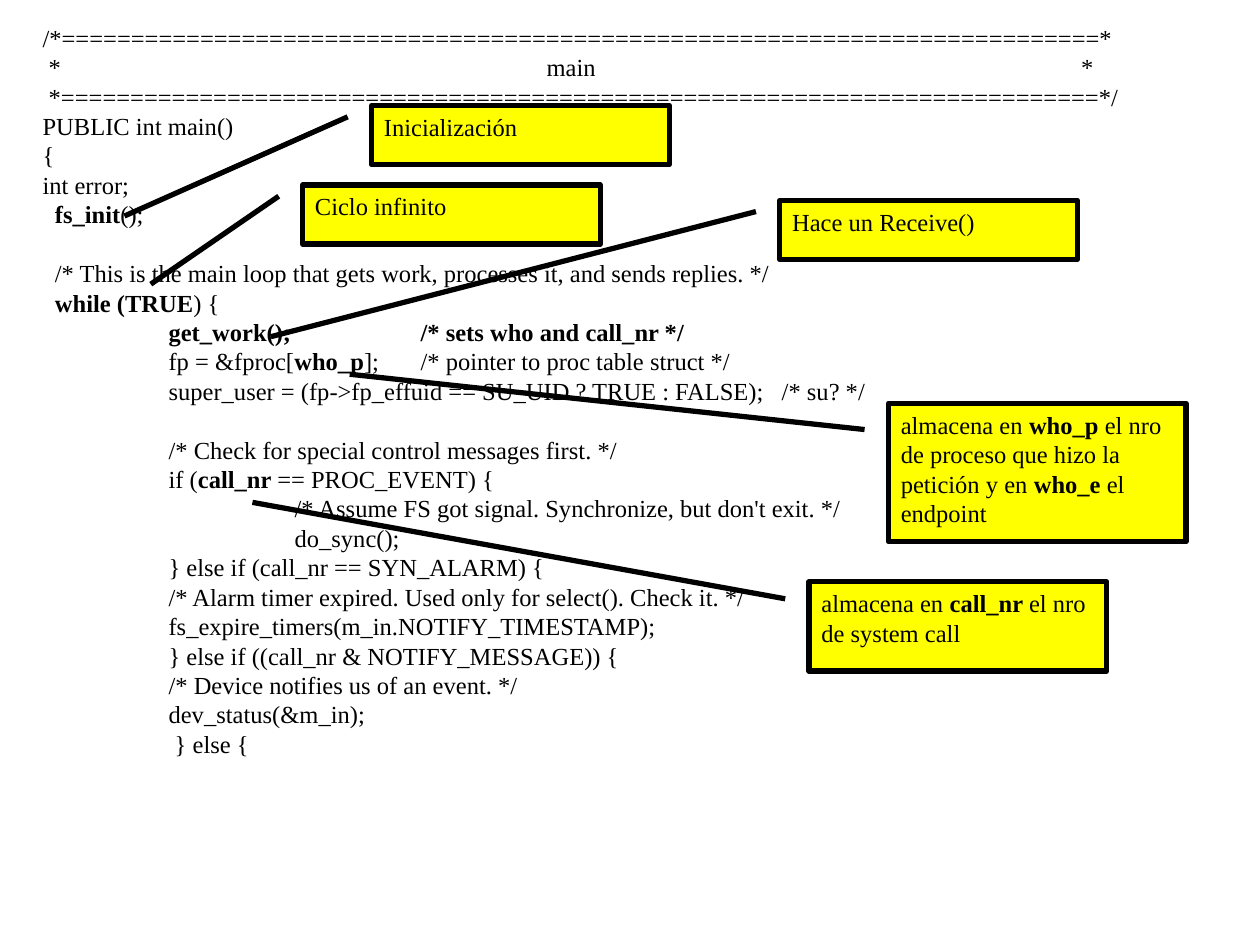
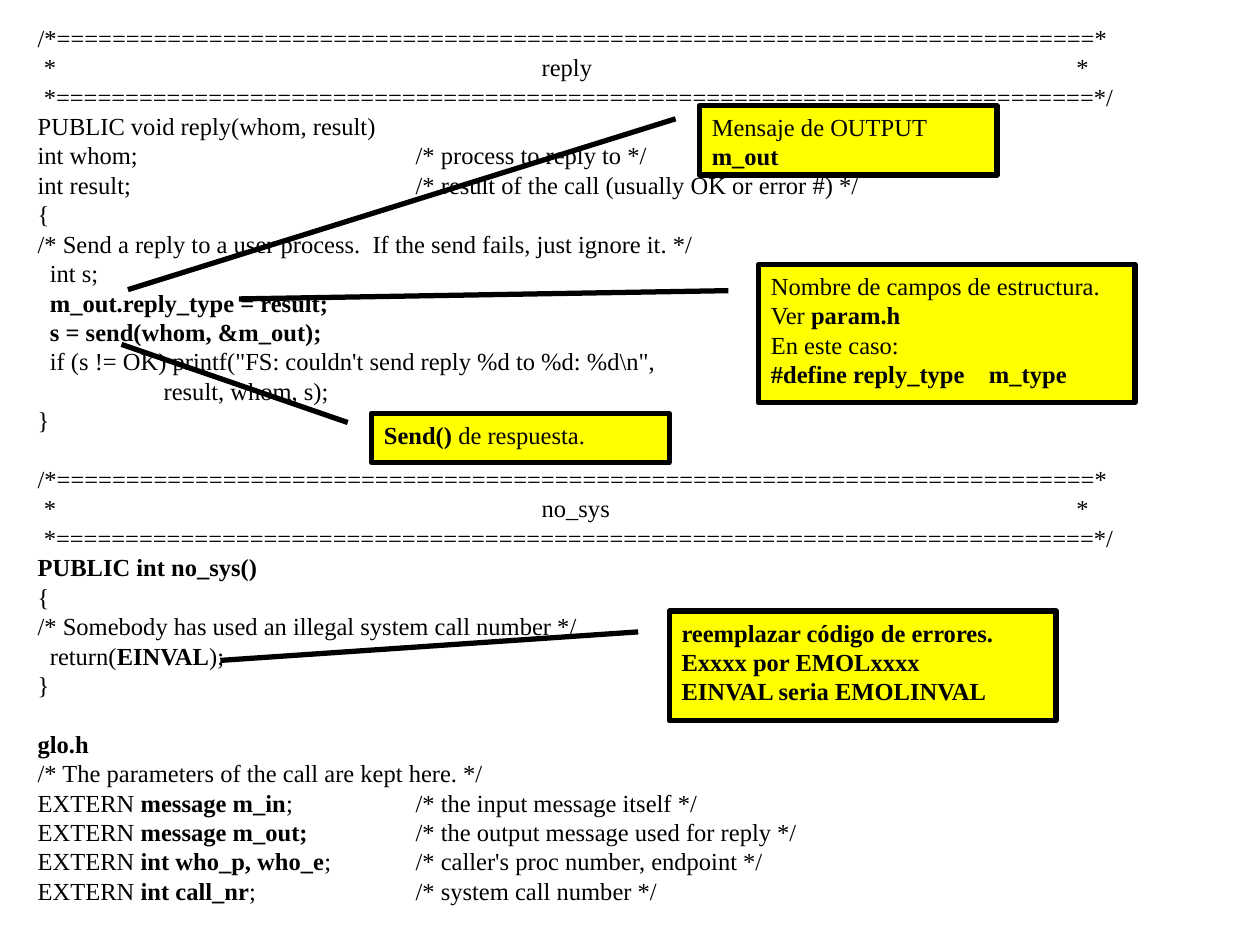
from lxml import etree
from pptx import Presentation
from pptx import util as u
from pptx.dml import color
from pptx.enum import shapes, text
from pptx.oxml import ns

FONT = "Times New Roman"
BLACK, YELLOW = "000000", "FFFF00"
SIZE, LINE_HEIGHT = u.Pt(14), u.Pt(16.8)
TAB_STEP, TAB_COUNT = u.Cm(2.54), 7
RULE = "=" * 75
BANNER = f"/*{RULE}*\n *\t\t\t\tNAME\t\t\t\t\t     *\n *{RULE}*/\n"


def rgb(hex_string):
    return color.RGBColor.from_string(hex_string)


def write(frame, content):
    """Fill a frame line by line; |bars| enclose bold, an empty line becomes space."""
    frame.margin_left = frame.margin_right = u.Cm(0.25)
    frame.margin_top = frame.margin_bottom = u.Cm(0.13)
    frame.vertical_anchor = text.MSO_ANCHOR.TOP
    frame.auto_size = text.MSO_AUTO_SIZE.NONE
    paragraph, gap = None, False
    for line in content.split("\n"):
        if not line:
            gap = True
            continue
        paragraph = frame.add_paragraph() if paragraph else frame.paragraphs[0]
        tabs = etree.SubElement(paragraph._p.get_or_add_pPr(), ns.qn("a:tabLst"))
        for stop in range(1, TAB_COUNT + 1):
            etree.SubElement(tabs, ns.qn("a:tab"), pos=str(stop * TAB_STEP), algn="l")
        paragraph.alignment = text.PP_ALIGN.LEFT
        paragraph.line_spacing = LINE_HEIGHT
        if gap:
            paragraph.space_before = LINE_HEIGHT
            gap = False
        for index, part in enumerate(line.split("|")):
            if part:
                run = paragraph.add_run()
                run.text = part
                run.font.name, run.font.size = FONT, SIZE
                run.font.bold = index % 2 == 1
                run.font.color.rgb = rgb(BLACK)


# Code listings
main_code = BANNER.replace("NAME", "main") + """PUBLIC int main()
{
int error;
  |fs_init|();

  /* This is the main loop that gets work, processes it, and sends replies. */
  |while (TRUE|) {
\t|get_work();\t\t/* sets who and call_nr */|
\tfp = &fproc[|who_p|];\t/* pointer to proc table struct */
\tsuper_user = (fp->fp_effuid == SU_UID ? TRUE : FALSE);   /* su? */

 \t/* Check for special control messages first. */
\tif (|call_nr |== PROC_EVENT) {
\t\t/* Assume FS got signal. Synchronize, but don't exit. */
\t\tdo_sync();
        \t} else if (call_nr == SYN_ALARM) {
        \t/* Alarm timer expired. Used only for select(). Check it. */
        \tfs_expire_timers(m_in.NOTIFY_TIMESTAMP);
        \t} else if ((call_nr & NOTIFY_MESSAGE)) {
        \t/* Device notifies us of an event. */
        \tdev_status(&m_in);
       \t } else {"""

reply_code = BANNER.replace("NAME", "reply") + """PUBLIC void reply(whom, result)
int whom;\t\t\t/* process to reply to */
int result;\t\t\t/* result of the call (usually OK or error #) */
{
/* Send a reply to a user process.  If the send fails, just ignore it. */
  int s;
  |m_out.reply_type = result;|
  |s = send(whom, &m_out);|
  if (s != OK) printf("FS: couldn't send reply %d to %d: %d\\n",
\tresult, whom, s);
}

""" + BANNER.replace("NAME", "no_sys") + """|PUBLIC int no_sys()|
{
/* Somebody has used an illegal system call number */
  return(|EINVAL|);
}

|glo.h|
/* The parameters of the call are kept here. */
EXTERN |message m_in|;\t/* the input message itself */
EXTERN |message m_out;\t|/* the output message used for reply */
EXTERN |int who_p, who_e|;\t/* caller's proc number, endpoint */
EXTERN |int call_nr|;\t\t/* system call number */"""

# Callouts: left, top, width, height in cm, pointer end (y, x as shares of the box), text
main_callouts = [
    (15.72, 4.04, 6, 1.19, 2.31, -1.71, "Hace un Receive()"),
    (17.91, 8.13, 6, 2.79, -0.21, -1.81,
     "almacena en |who_p| el nro de proceso que hizo la petición y en |who_e |el endpoint"),
    (16.31, 11.73, 6, 1.8, -0.89, -1.87, "almacena en |call_nr |el nro de system call"),
    (7.49, 2.13, 6, 1.19, 1.87, -0.83, "Inicialización"),
    (6.1, 3.73, 6, 1.19, 1.68, -0.51, "Ciclo infinito"),
]
reply_callouts = [
    (14.1, 2.13, 6, 1.4, 2.65, -1.92, "Mensaje de OUTPUT |m_out|"),
    (7.49, 8.33, 6, 0.99, -1.4, -0.84, "|Send() |de respuesta."),
    (15.29, 5.33, 7.59, 2.79, 0.25, -1.38,
     "Nombre de campos de estructura. Ver |param.h|\nEn este caso:\n"
     "|#define reply_type    m_type|"),
    (13.49, 12.32, 7.8, 2.21, 0.45, -1.16,
     "|reemplazar código de errores.|\n|Exxxx por EMOLxxxx|\n|EINVAL seria EMOLINVAL|"),
]

# Code box: left, top, width, height in cm, and whether it wraps
pages = [
    ((0.61, 0.33, 24.23, 15.67), False, main_code, main_callouts),
    ((0.51, 0.33, 24.46, 18.06), True, reply_code, reply_callouts),
]

presentation = Presentation()
presentation.slide_width, presentation.slide_height = u.Cm(25.4), u.Cm(19.05)

for code_box, wraps, code, callouts in pages:
    slide = presentation.slides.add_slide(presentation.slide_layouts[6])

    # Code
    box = slide.shapes.add_textbox(*map(u.Cm, code_box))
    write(box.text_frame, code)
    box.text_frame.word_wrap = wraps

    # Yellow callouts with their pointer lines
    for left, top, width, height, end_y, end_x, note in callouts:
        shape = slide.shapes.add_shape(shapes.MSO_SHAPE.LINE_CALLOUT_1,
                                       *map(u.Cm, (left, top, width, height)))
        for index, value in enumerate((0.19, -0.08, end_y, end_x)):
            shape.adjustments[index] = value
        shape.shadow.inherit = False
        shape.fill.solid()
        shape.fill.fore_color.rgb = rgb(YELLOW)
        shape.line.color.rgb = rgb(BLACK)
        shape.line.width = u.Pt(3)
        write(shape.text_frame, note)
        shape.text_frame.word_wrap = True

presentation.save("out.pptx")
